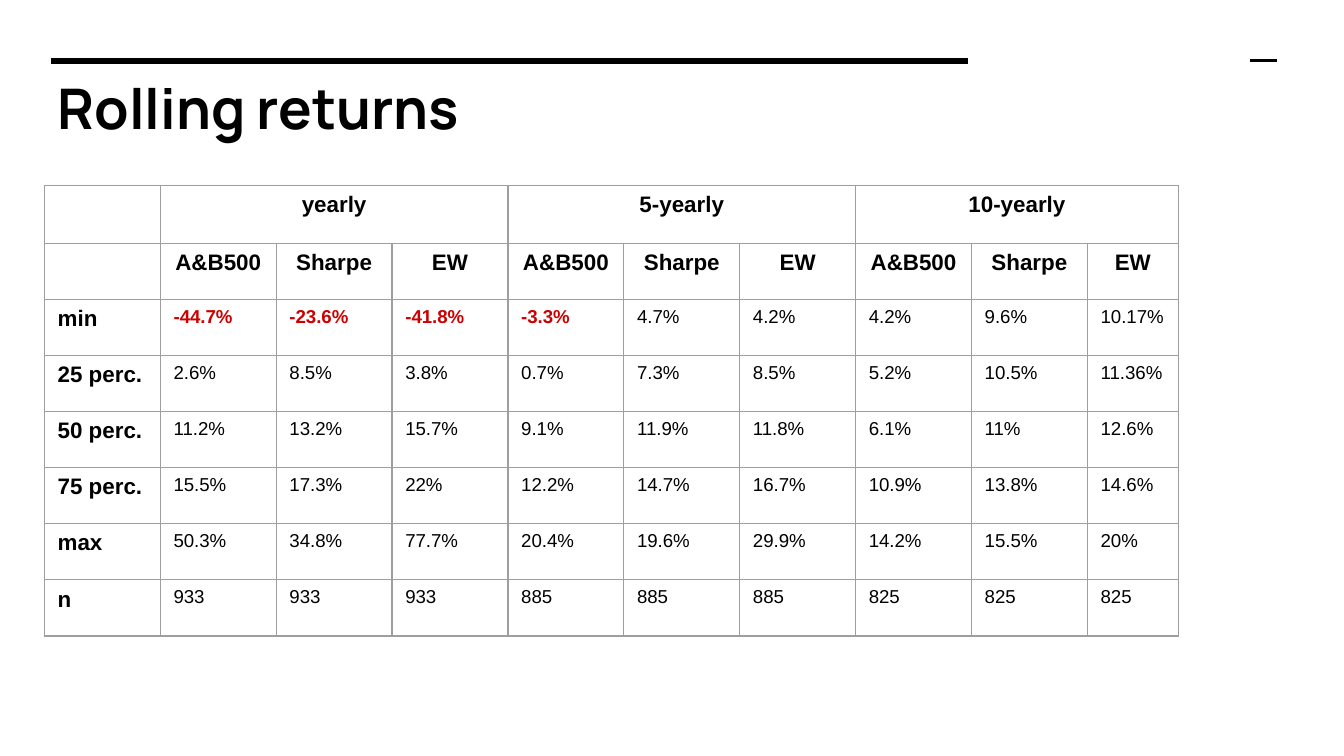
from lxml.etree import SubElement
from pptx import Presentation
from pptx.dml.color import RGBColor
from pptx.enum.shapes import MSO_CONNECTOR
from pptx.enum.text import MSO_ANCHOR, MSO_AUTO_SIZE, PP_ALIGN
from pptx.oxml.ns import qn
from pptx.util import Cm, Pt

COLORS = {"ink": "000000", "loss": "CC0000", "grid": "9E9E9E"}

SPANS = ["yearly", "5-yearly", "10-yearly"]
FUNDS = ["A&B500", "Sharpe", "EW"]
ROWS = [
    ["min", "-44.7%", "-23.6%", "-41.8%", "-3.3%", "4.7%", "4.2%", "4.2%", "9.6%", "10.17%"],
    ["25 perc.", "2.6%", "8.5%", "3.8%", "0.7%", "7.3%", "8.5%", "5.2%", "10.5%", "11.36%"],
    ["50 perc.", "11.2%", "13.2%", "15.7%", "9.1%", "11.9%", "11.8%", "6.1%", "11%", "12.6%"],
    ["75 perc.", "15.5%", "17.3%", "22%", "12.2%", "14.7%", "16.7%", "10.9%", "13.8%", "14.6%"],
    ["max", "50.3%", "34.8%", "77.7%", "20.4%", "19.6%", "29.9%", "14.2%", "15.5%", "20%"],
    ["n", "933", "933", "933", "885", "885", "885", "825", "825", "825"],
]
WIDTHS = [2.19] * 9 + [1.72]
HEIGHTS = [1.1] + [1.06] * 7


def write(frame, text, size=12, font="Arial", color="ink", bold=True, align=PP_ALIGN.LEFT):
    para = frame.paragraphs[0]
    para.alignment = align
    run = para.add_run()
    run.text = text
    run.font.size = Pt(size)
    run.font.name = font
    run.font.bold = bold
    run.font.color.rgb = RGBColor.from_string(COLORS[color])


def add_rule(slide, left, right, weight):
    y = Cm(1.15)
    rule = slide.shapes.add_connector(MSO_CONNECTOR.STRAIGHT, Cm(left), y, Cm(right), y)
    rule.line.color.rgb = RGBColor.from_string(COLORS["ink"])
    rule.line.width = Pt(weight)
    SubElement(rule._element.spPr, qn("a:effectLst"))


def add_title(slide, text):
    title = slide.shapes.title
    title.left, title.top, title.width, title.height = Cm(0.84), Cm(1.14), Cm(17.4), Cm(1.78)
    frame = title.text_frame
    frame.margin_left = frame.margin_right = Cm(0.25)
    frame.margin_top = frame.margin_bottom = Cm(0.25)
    frame.vertical_anchor = MSO_ANCHOR.MIDDLE
    frame.auto_size = MSO_AUTO_SIZE.NONE
    frame.word_wrap = True
    write(frame, text, size=30, font="Manrope")


def style_cell(cell):
    props = cell._tc.get_or_add_tcPr()
    for side in ("lnL", "lnR", "lnT", "lnB"):
        edge = SubElement(props, qn(f"a:{side}"), w=str(Pt(0.75)))
        fill = SubElement(edge, qn("a:solidFill"))
        SubElement(fill, qn("a:srgbClr"), val=COLORS["grid"])
    cell.fill.background()
    cell.margin_left = cell.margin_right = Cm(0.25)
    cell.margin_top = cell.margin_bottom = Cm(0.13)


def add_grid(slide):
    frame = slide.shapes.add_table(len(HEIGHTS), len(WIDTHS), Cm(0.84), Cm(3.5),
                                   Cm(sum(WIDTHS)), Cm(sum(HEIGHTS)))
    table = frame.table
    table.first_row = table.horz_banding = False
    for col, width in zip(table.columns, WIDTHS):
        col.width = Cm(width)
    for row, height in zip(table.rows, HEIGHTS):
        row.height = Cm(height)
    for cell in table.iter_cells():
        style_cell(cell)

    # Two header rows: each span covers one column per fund
    count = len(FUNDS)
    for i, span in enumerate(SPANS):
        first = 1 + i * count
        table.cell(0, first).merge(table.cell(0, first + count - 1))
        write(table.cell(0, first).text_frame, span, align=PP_ALIGN.CENTER)
        for j, fund in enumerate(FUNDS):
            write(table.cell(1, first + j).text_frame, fund, align=PP_ALIGN.CENTER)

    # Body: bold labels, losses in bold red
    for r, (label, *values) in enumerate(ROWS, 2):
        write(table.cell(r, 0).text_frame, label)
        for c, value in enumerate(values, 1):
            loss = value.startswith("-")
            write(table.cell(r, c).text_frame, value, size=10,
                  color="loss" if loss else "ink", bold=loss)


def main():
    deck = Presentation()
    deck.slide_width, deck.slide_height = Cm(25.4), Cm(14.29)
    slide = deck.slides.add_slide(deck.slide_layouts[5])

    # Top rules
    add_rule(slide, 0.97, 18.3, 3)
    add_rule(slide, 23.62, 24.13, 1.5)

    add_title(slide, "Rolling returns")
    add_grid(slide)
    deck.save("out.pptx")


if __name__ == "__main__":
    main()
